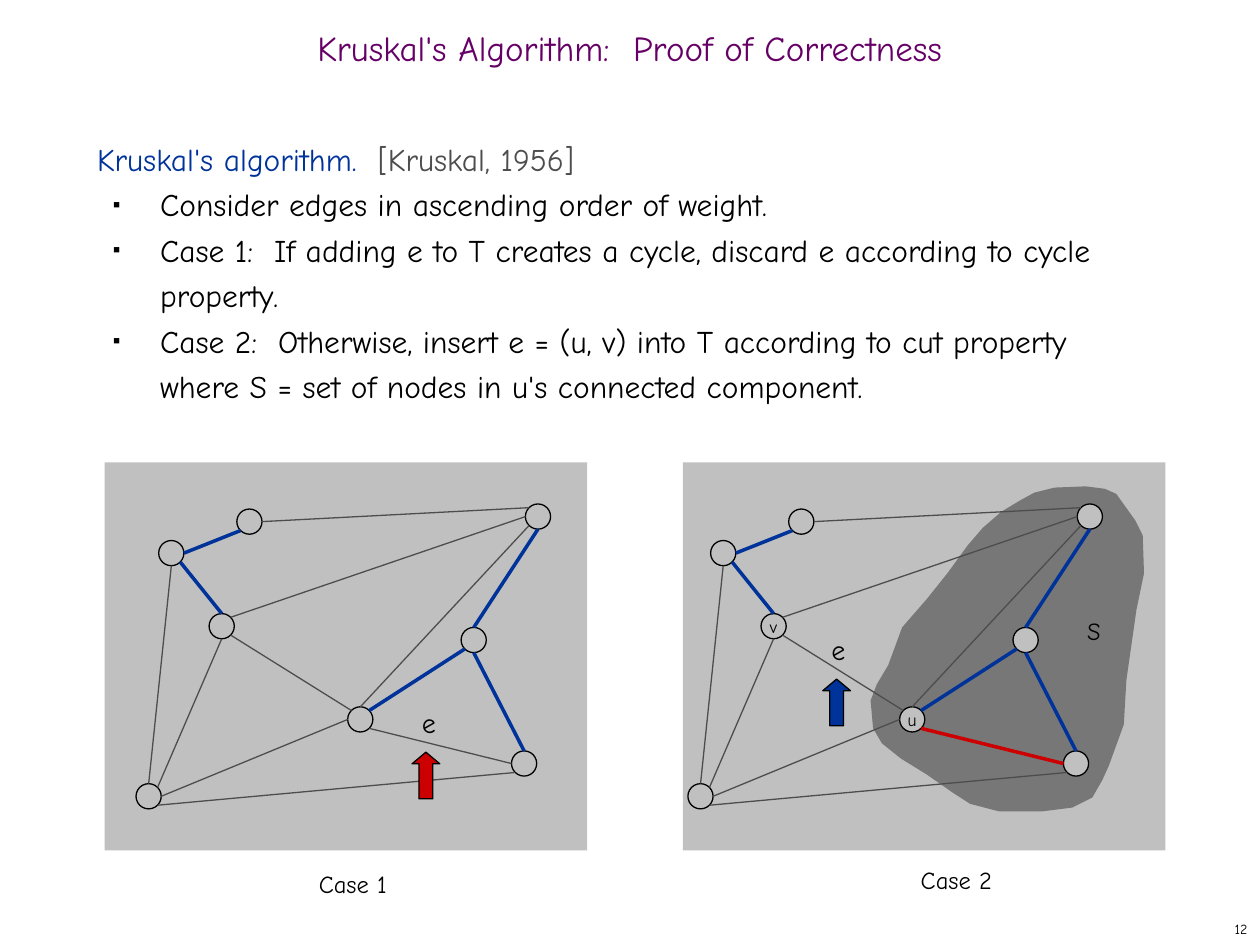
import math
from dataclasses import dataclass

from lxml import etree
from pptx import Presentation
from pptx.dml.color import RGBColor
from pptx.enum.shapes import MSO_CONNECTOR, MSO_SHAPE
from pptx.enum.text import MSO_ANCHOR, MSO_AUTO_SIZE, PP_ALIGN
from pptx.oxml.ns import qn
from pptx.util import Cm, Pt

RECT, OVAL, ARROW = MSO_SHAPE.RECTANGLE, MSO_SHAPE.OVAL, MSO_SHAPE.UP_ARROW
LINE = MSO_CONNECTOR.STRAIGHT
LEFT, MID, RIGHT = PP_ALIGN.LEFT, PP_ALIGN.CENTER, PP_ALIGN.RIGHT
TOP, CENTER = MSO_ANCHOR.TOP, MSO_ANCHOR.MIDDLE
FIXED = MSO_AUTO_SIZE.NONE

FONT = "Comic Neue"
HUES = {
    "black": "000000", "plum": "660066", "blue": "003399", "red": "CC0000",
    "dark": "4D4D4D", "panel": "C0C0C0", "cut": "777777",
}
SHIFT = 4.38  # from the first graph to the second
RAD = 0.1  # node radius


@dataclass
class Edge:
    start: str
    out: int  # site on the node: 0 top, then counterclockwise by 45 degrees
    end: str
    into: int
    hue: str = "dark"


@dataclass
class Label:
    text: str
    left: float
    top: float
    width: float
    height: float
    size: int
    align: PP_ALIGN = LEFT
    anchor: MSO_ANCHOR = TOP


NODES = {
    "a": (1.36, 4.39), "b": (4.27, 4.1), "c": (4.16, 6.06), "d": (1.98, 4.14),
    "v": (1.76, 4.97), "f": (1.18, 6.32), "g": (3.76, 5.08), "u": (2.86, 5.71),
}
EDGES = [
    Edge("a", 6, "d", 3, "blue"), Edge("a", 5, "v", 0, "blue"),
    Edge("a", 4, "f", 0), Edge("v", 7, "b", 2),
    Edge("g", 0, "b", 4, "blue"), Edge("v", 5, "u", 1),
    Edge("u", 5, "c", 2), Edge("u", 7, "g", 3, "blue"),
    Edge("g", 4, "c", 0, "blue"), Edge("b", 3, "u", 0),
    Edge("v", 4, "f", 7), Edge("f", 6, "u", 2),
    Edge("d", 6, "b", 1), Edge("f", 5, "c", 3),
]
CUT = [
    (7.05, 5.28), (7.16, 4.98), (7.36, 4.75), (7.52, 4.55), (7.68, 4.33),
    (7.8, 4.19), (7.95, 4.06), (8.1, 3.97), (8.21, 3.91), (8.37, 3.87),
    (8.62, 3.86), (8.77, 3.88), (8.86, 3.92), (8.91, 3.99), (9.01, 4.13),
    (9.07, 4.25), (9.08, 4.55), (9.02, 4.84), (8.94, 5.4), (8.92, 5.75),
    (8.8, 6.08), (8.75, 6.19), (8.67, 6.33), (8.51, 6.41), (8.27, 6.44),
    (7.93, 6.44), (7.7, 6.38), (7.56, 6.29), (7.36, 6.15), (7.15, 6.02),
    (7, 5.9), (6.93, 5.78), (6.91, 5.56), (6.96, 5.43),
]
LABELS = [
    Label("Case 1", 1.89, 6.83, 1.82, 0.36, 14, MID, CENTER),
    Label("Case 2", 6.68, 6.8, 1.82, 0.36, 14, MID, CENTER),
    Label("e", 3.25, 5.55, 0.31, 0.37, 16),
    Label("e", 6.5, 4.97, 0.31, 0.37, 16),
    Label("S", 8.53, 4.84, 0.31, 0.33, 14),
    Label("12", 7.92, 7.25, 2.08, 0.25, 8, RIGHT, CENTER),
]
STEPS = [
    "Consider edges in ascending order of weight.",
    "Case 1:  If adding e to T creates a cycle, discard e according to cycle property.",
    "Case 2:  Otherwise, insert e = (u, v) into T according to cut property "
    "where S = set of nodes in u's connected component.",
]


def inch(num: float) -> Cm:
    return Cm(num * 2.54)


def tint(name: str) -> RGBColor:
    return RGBColor.from_string(HUES[name])


def write(par, text: str, size: int = 18, hue: str = "black", align=LEFT):
    run = par.add_run()
    run.text = text
    run.font.name, run.font.size = FONT, Pt(size)
    run.font.color.rgb = tint(hue)
    par.alignment = align


def place(shape, left: float, top: float, width: float, height: float):
    shape.left, shape.top = inch(left), inch(top)
    shape.width, shape.height = inch(width), inch(height)


def paint(shape, hue: str, edge: bool = True):
    shape.shadow.inherit = False
    shape.fill.solid()
    shape.fill.fore_color.rgb = tint(hue)
    if edge:
        shape.line.color.rgb = tint("black")
        shape.line.width = Pt(0.75)
    else:
        shape.line.fill.background()


def draw(slide, kind, box: tuple, hue: str, edge: bool = True):
    shape = slide.shapes.add_shape(kind, *map(inch, box))
    paint(shape, hue, edge)
    return shape


def site(name: str, num: int, shift: float) -> tuple:
    x, y = NODES[name]
    turn = math.radians(45 * num)
    return inch(x + shift - RAD * math.sin(turn)), inch(y - RAD * math.cos(turn))


def graph(slide, shift: float, marks: str = "", fresh: tuple = ()):
    for name, (x, y) in NODES.items():
        node = draw(slide, OVAL, (x + shift - RAD, y - RAD, 2 * RAD, 2 * RAD), "panel")
        if name in marks:
            frame = node.text_frame
            frame.word_wrap, frame.vertical_anchor = False, CENTER
            write(frame.paragraphs[0], name, size=10, align=MID)
    for edge in EDGES:
        ends = site(edge.start, edge.out, shift) + site(edge.end, edge.into, shift)
        line = slide.shapes.add_connector(LINE, *ends)
        hue = "red" if (edge.start, edge.end) == fresh else edge.hue
        line.line.color.rgb = tint(hue)
        line.line.width = Pt(0.75 if hue == "dark" else 2)
        etree.SubElement(line._element.spPr, qn("a:effectLst"))


def bullet(par):
    props = par._p.get_or_add_pPr()
    props.set("marL", str(inch(0.5)))
    props.set("indent", str(inch(-0.37)))
    color = etree.SubElement(props, qn("a:buClr"))
    etree.SubElement(color, qn("a:srgbClr"), val=HUES["black"])
    etree.SubElement(props, qn("a:buSzPct"), val="35000")
    etree.SubElement(props, qn("a:buChar"), char="■")


def space(par):
    par.line_spacing, par.space_before = Pt(26), Pt(0)


def main():
    deck = Presentation()
    deck.slide_width, deck.slide_height = inch(10), inch(7.5)
    slide = deck.slides.add_slide(deck.slide_layouts[1])

    # Title
    title, body = slide.placeholders
    place(title, 0, 0.17, 10, 0.5)
    title.text_frame.auto_size = FIXED
    title.text_frame.vertical_anchor = CENTER
    head = title.text_frame.paragraphs[0]
    head.line_spacing = 0.7
    write(head, "Kruskal's Algorithm:  Proof of Correctness", size=20, hue="plum", align=MID)

    # Body list
    place(body, 0.67, 1, 8.58, 5.92)
    frame = body.text_frame
    frame.auto_size, frame.vertical_anchor = FIXED, TOP
    lead = frame.paragraphs[0]
    space(lead)
    write(lead, "Kruskal's algorithm.  ", hue="blue")
    write(lead, "[Kruskal, 1956]", hue="dark")
    props = lead._p.get_or_add_pPr()
    props.set("marL", str(inch(0.38)))
    props.set("indent", str(inch(-0.38)))
    etree.SubElement(props, qn("a:buNone"))
    for step in STEPS:
        par = frame.add_paragraph()
        par.level = 1
        space(par)
        write(par, step)
        bullet(par)

    # Panels and graphs
    for left in (0.83, 5.42):
        draw(slide, RECT, (left, 3.67, 3.83, 3.08), "panel", edge=False)
    graph(slide, 0)
    pen = slide.shapes.build_freeform(*map(inch, CUT[0]), scale=1.0)
    pen.add_line_segments([(inch(x), inch(y)) for x, y in CUT[1:]], close=True)
    paint(pen.convert_to_shape(), "cut", edge=False)
    graph(slide, SHIFT, marks="uv", fresh=("u", "c"))

    # Arrows to edge e
    for left, top, hue in ((3.27, 5.97, "red"), (6.53, 5.39, "blue")):
        arrow = draw(slide, ARROW, (left, top, 0.22, 0.37), hue)
        arrow.adjustments[0], arrow.adjustments[1] = 0.5, 0.42

    # Labels
    for item in LABELS:
        box = slide.shapes.add_textbox(
            *map(inch, (item.left, item.top, item.width, item.height)))
        frame = box.text_frame
        frame.word_wrap, frame.vertical_anchor = False, item.anchor
        write(frame.paragraphs[0], item.text, size=item.size, align=item.align)

    deck.save("out.pptx")


if __name__ == "__main__":
    main()
